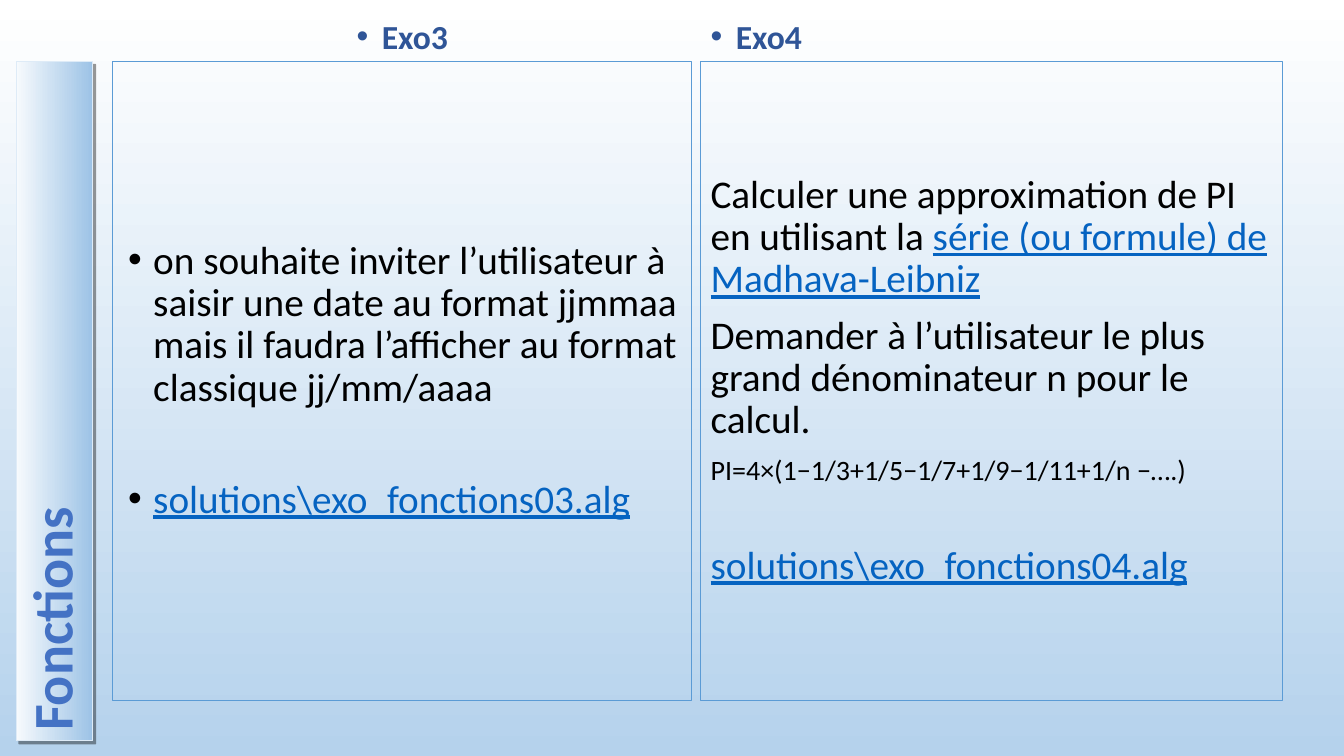
from lxml.etree import SubElement
from pptx import Presentation
from pptx.dml.color import RGBColor
from pptx.enum.shapes import MSO_SHAPE
from pptx.enum.text import MSO_ANCHOR, PP_ALIGN
from pptx.oxml import parse_xml
from pptx.oxml.ns import nsdecls, qn
from pptx.util import Pt

PX = 9144
NAVY, BLUE, LINK, BLACK = "2F5597", "4472C4", "0563C1", "000000"
EDGE = "5B9BD5"
hue = RGBColor.from_string


def write(frame, text, size=28, color=BLACK, bold=False, under=False,
          dot=False, gap=0, join=False, align=PP_ALIGN.LEFT):
    par = frame.paragraphs[-1]
    if par.runs and not join:
        par = frame.add_paragraph()
    if dot:
        props = par._p.get_or_add_pPr()
        props.set("marL", str(25 * PX))
        props.set("indent", str(-25 * PX))
        tint = SubElement(props, qn("a:buClr"))
        SubElement(tint, qn("a:srgbClr"), val=color if not under else BLACK)
        SubElement(props, qn("a:buFont"), typeface="Arial")
        SubElement(props, qn("a:buChar"), char="•")
    if not join:
        par.alignment = align
        par.line_spacing = 0.9
        par.space_before = Pt(gap)
    run = par.add_run()
    run.text = text
    font = run.font
    font.name, font.size = "Calibri", Pt(size)
    font.bold, font.underline = bold, under
    font.color.rgb = hue(color)


def blend(fill, start, end):
    fill.gradient()
    fill.gradient_angle = 270
    for stop, color, place in zip(fill.gradient_stops, (start, end), (0, 1)):
        stop.color.rgb = hue(color)
        stop.position = place


deck = Presentation()
deck.slide_width, deck.slide_height = 1333 * PX, 750 * PX
slide = deck.slides.add_slide(deck.slide_layouts[6])
blend(slide.background.fill, "FFFFFF", "B5D2EC")

band = slide.shapes.add_shape(
    MSO_SHAPE.RECTANGLE, -283 * PX, 360 * PX, 674 * PX, 76 * PX)
band.rotation = 270
blend(band.fill, "F7FAFD", "9DC3E6")
band.line.color.rgb = hue("DEEBF7")
band.line.width = Pt(0.75)
band._element.spPr.append(parse_xml(
    f'<a:effectLst {nsdecls("a")}><a:outerShdw dist="38100" dir="2700000" '
    'algn="tl" rotWithShape="0"><a:srgbClr val="000000">'
    '<a:alpha val="40000"/></a:srgbClr></a:outerShdw></a:effectLst>'))
band.text_frame.word_wrap = True
band.text_frame.vertical_anchor = MSO_ANCHOR.MIDDLE
write(band.text_frame, "Fonctions", size=40, color=BLUE, bold=True)

frames = []
for title, left, width, inset, align in (
        ("Exo3", 112, 574, 15, PP_ALIGN.CENTER),
        ("Exo4", 695, 577, 10, PP_ALIGN.LEFT)):
    head = slide.shapes.add_textbox(left * PX, 10 * PX, 574 * PX, 51 * PX)
    head.text_frame.word_wrap = True
    head.text_frame.vertical_anchor = MSO_ANCHOR.BOTTOM
    write(head.text_frame, title, size=24, color=NAVY, bold=True,
          dot=True, align=align)
    panel = slide.shapes.add_shape(
        MSO_SHAPE.RECTANGLE, left * PX, 61 * PX, width * PX, 634 * PX)
    panel.shadow.inherit = False
    panel.fill.background()
    panel.line.color.rgb = hue(EDGE)
    panel.line.width = Pt(0.75)
    frame = panel.text_frame
    frame.word_wrap = True
    frame.vertical_anchor = MSO_ANCHOR.MIDDLE
    frame.margin_left = inset * PX
    frames.append(frame)

date, series = frames
write(date, "on souhaite inviter l’utilisateur à saisir une date au format "
      "jjmmaa mais il faudra l’afficher au format classique jj/mm/aaaa",
      dot=True)
write(date, "solutions\\exo_fonctions03.alg", color=LINK, under=True,
      dot=True, gap=50)

write(series, "Calculer une approximation de PI en utilisant la ")
write(series, "série (ou formule) de Madhava-Leibniz", color=LINK,
      under=True, join=True)
write(series, "Demander à l’utilisateur le plus grand dénominateur n "
      "pour le calcul.", gap=10)
write(series, "PI=4×(1−1/3+1/5−1/7+1/9−1/11+1/n −….)", size=20, gap=10)
write(series, "solutions\\exo_fonctions04.alg", color=LINK, under=True,
      gap=42)

deck.save("out.pptx")
